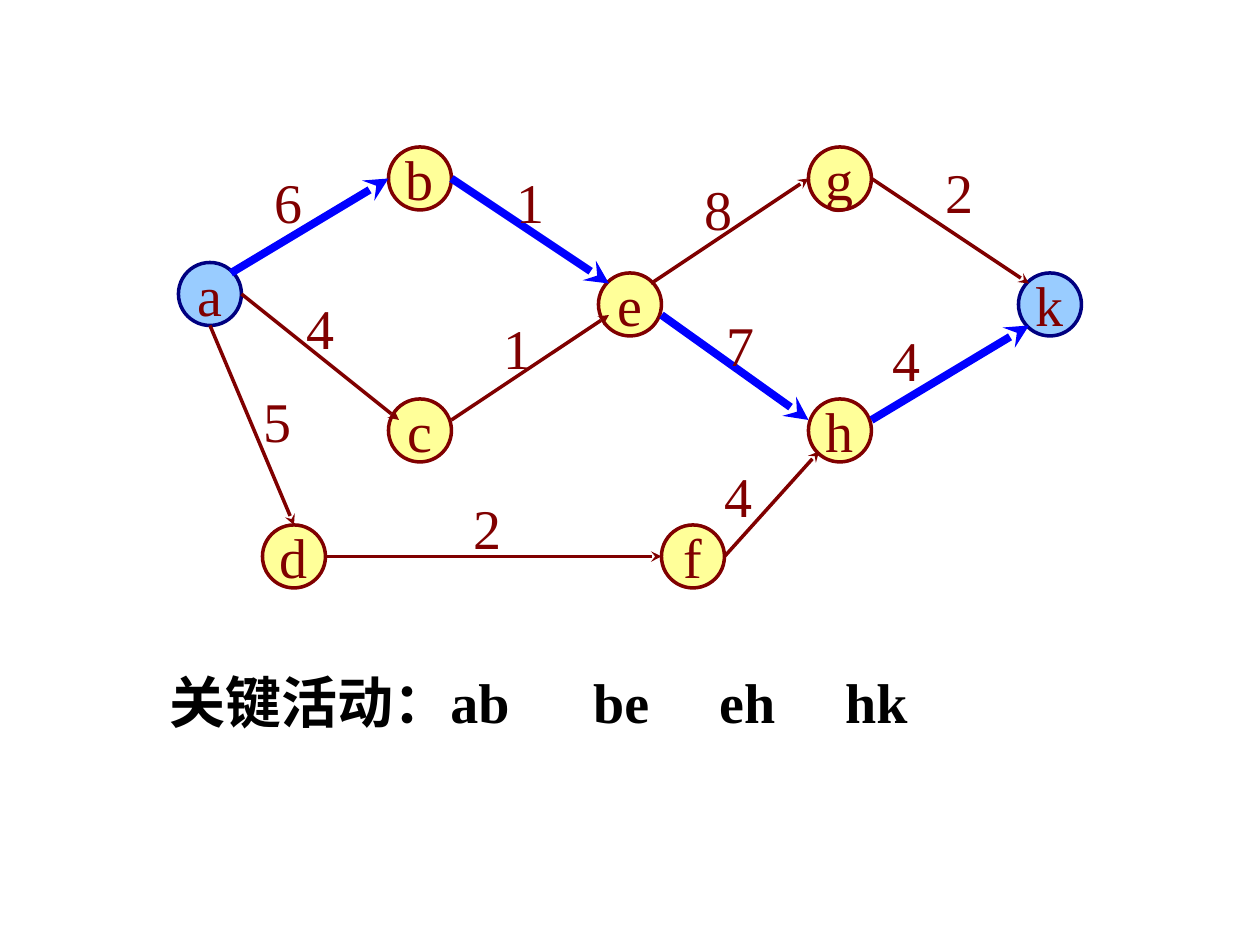
from lxml.etree import SubElement
from pptx import Presentation
from pptx.dml.color import RGBColor
from pptx.enum.shapes import MSO_CONNECTOR, MSO_SHAPE
from pptx.enum.text import MSO_ANCHOR, MSO_AUTO_SIZE, PP_ALIGN
from pptx.oxml.ns import qn
from pptx.util import Inches, Pt

# The slide is a grid of 120 columns by 90 rows, 12 to the inch
CELL = Inches(1) / 12
NODE_SIZE = 6
LABEL_SIZE = (5, 7.6)

MAROON, NAVY, BLUE, BLACK = "800000", "000080", "0000FF", "000000"
INNER_NODE = ("FFFF99", MAROON)
END_NODE = ("99CCFF", NAVY)

GRAPH_FONT = {"name": "Times New Roman", "size": Pt(32), "bold": False}
SUMMARY_FONT = {**GRAPH_FONT, "bold": True}

# Event name: left column, top row
EVENTS = {
    "a": (17, 25), "b": (37, 14), "c": (37, 38),
    "d": (25, 50), "e": (57, 26), "f": (63, 50),
    "g": (77, 14), "h": (77, 38), "k": (97, 26),
}
END_EVENTS = "ak"

# Activity: start point, end point, duration, corner of the duration label
ACTIVITIES = {
    "ab": ((22, 26), (37, 17), "6", (25, 15.4)),
    "ac": ((23, 28), (38, 40), "4", (28, 27.4)),
    "ad": ((20, 31), (28, 50), "5", (23.9, 36.2)),
    "df": ((31, 53), (63, 53), "2", (43.9, 46.4)),
    "be": ((43, 17), (58, 27), "1", (48, 15.4)),
    "ce": ((43, 40), (58, 30), "1", (46.8, 29.3)),
    "eg": ((62, 27), (77, 17), "8", (65.9, 16)),
    "eh": ((63, 30), (77, 40), "7", (68, 29)),
    "gk": ((83, 17), (98, 27), "2", (88.9, 14.4)),
    "hk": ((83, 40), (98, 31), "4", (83.8, 30.4)),
    "fh": ((69, 53), (78, 43), "4", (67.8, 43.4)),
}
CRITICAL = ("ab", "be", "eh", "hk")
FIRST_TAB, TAB_STEP = 3.36, 1


def color(hex_text):
    return RGBColor.from_string(hex_text)


def grid(*cells):
    return [round(cell * CELL) for cell in cells]


def write(paragraph, text, font_values, font_color):
    paragraph.text = text
    for name, value in font_values.items():
        setattr(paragraph.font, name, value)
    paragraph.font.color.rgb = color(font_color)


def add_event(slide, name, corner, fill, outline):
    event = slide.shapes.add_shape(
        MSO_SHAPE.OVAL, *grid(*corner, NODE_SIZE, NODE_SIZE))
    event.shadow.inherit = False
    event.fill.solid()
    event.fill.fore_color.rgb = color(fill)
    event.line.color.rgb = color(outline)
    event.line.width = Pt(2)
    frame = event.text_frame
    frame.word_wrap = False
    frame.vertical_anchor = MSO_ANCHOR.MIDDLE
    write(frame.paragraphs[0], name, GRAPH_FONT, MAROON)
    frame.paragraphs[0].alignment = PP_ALIGN.CENTER


def add_activity(slide, start, end, critical):
    arrow = slide.shapes.add_connector(
        MSO_CONNECTOR.STRAIGHT, *grid(*start, *end))
    arrow.line.color.rgb = color(BLUE if critical else MAROON)
    arrow.line.width = Pt(4.5 if critical else 2)
    # Arrowhead, and no shadow
    SubElement(arrow.line._get_or_add_ln(), qn("a:tailEnd"), type="stealth")
    SubElement(arrow._element.spPr, qn("a:effectLst"))


def add_text(slide, box, wrap):
    frame = slide.shapes.add_textbox(*grid(*box)).text_frame
    frame.word_wrap = wrap
    frame.auto_size = MSO_AUTO_SIZE.SHAPE_TO_FIT_TEXT
    return frame.paragraphs[0]


def add_summary(slide):
    paragraph = add_text(slide, (15, 63, 93, 7.6), True)
    # One tab stop for each critical activity after the first
    tabs = SubElement(paragraph._p.get_or_add_pPr(), qn("a:tabLst"))
    for index in range(len(CRITICAL) - 1):
        position = Inches(FIRST_TAB + index * TAB_STEP)
        SubElement(tabs, qn("a:tab"), pos=str(position), algn="l")
    write(paragraph, "关键活动：" + "\t".join(CRITICAL), SUMMARY_FONT, BLACK)


def main():
    presentation = Presentation()
    presentation.slide_width, presentation.slide_height = grid(120, 90)
    slide = presentation.slides.add_slide(presentation.slide_layouts[6])

    # Events
    for name, corner in EVENTS.items():
        colors = END_NODE if name in END_EVENTS else INNER_NODE
        add_event(slide, name, corner, *colors)

    # Activities
    for name, (start, end, _, _) in ACTIVITIES.items():
        add_activity(slide, start, end, name in CRITICAL)

    # Durations
    for _, _, duration, corner in ACTIVITIES.values():
        label = add_text(slide, (*corner, *LABEL_SIZE), False)
        write(label, duration, GRAPH_FONT, MAROON)

    # Critical activities
    add_summary(slide)
    presentation.save("out.pptx")


if __name__ == "__main__":
    main()
